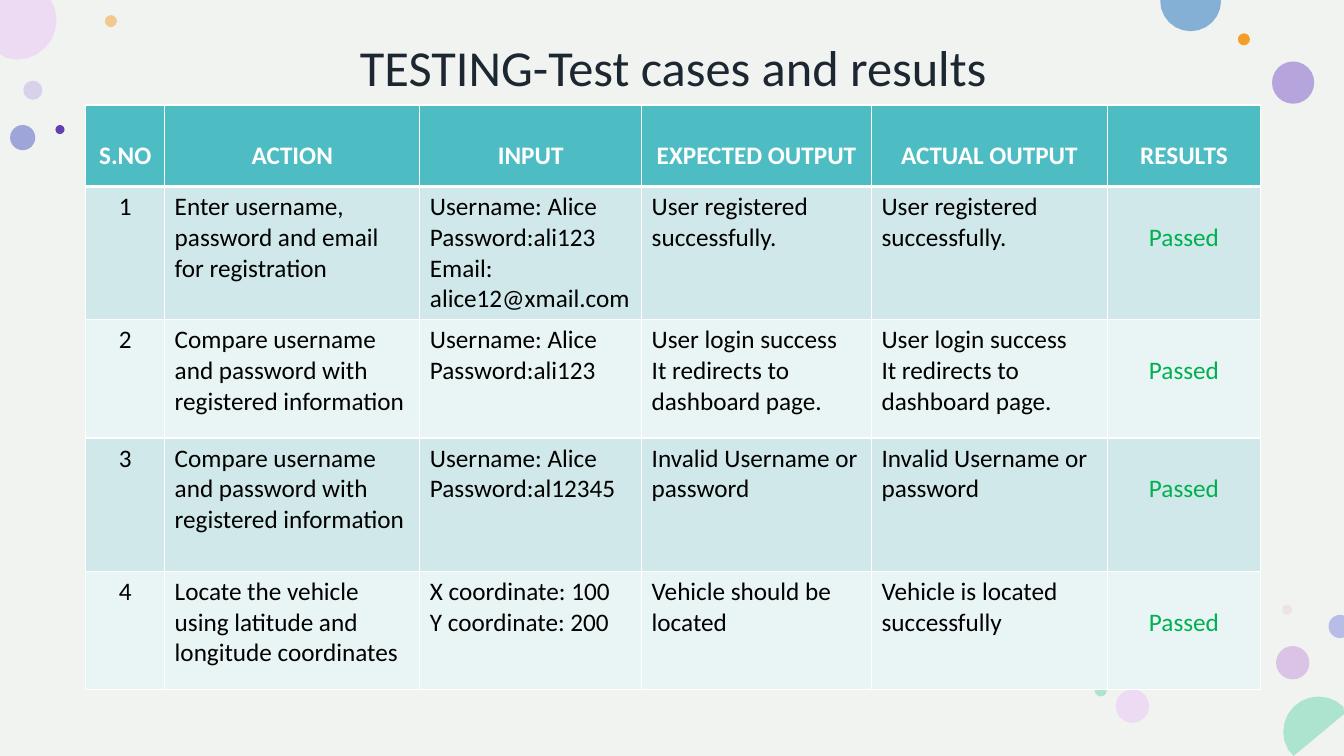
"""Build the slide of test cases and results for the vehicle tracking app."""
from dataclasses import dataclass
from math import cos, radians, sin

from lxml import etree
from pptx import Presentation
from pptx.dml.color import RGBColor
from pptx.enum import shapes, text
from pptx.oxml import ns
from pptx.util import Pt

WIDTH, HEIGHT = 960, 540
FONT = "Calibri"
BODY_SIZE = 18
LINE_HEIGHT = 22
CELL_MARGIN = 3.6
RIM_STEP = 15
COLORS = {
    "backdrop": "F1F3F0", "title": "1C2732", "white": "FFFFFF", "black": "000000",
    "header": "4DBDC3", "odd": "D0E8E9", "even": "E9F4F5", "passed": "00B050",
    "lavender": "BFB0E3", "orange": "F39E29", "orchid": "C794DB", "indigo": "4D5AC3",
    "violet": "9F88D5", "rose": "E3BEBE", "lilac": "ECDBF3", "mint": "ADE4D0",
    "sky": "84B0D6", "purple": "623FB3", "periwinkle": "B8BDE7",
}


@dataclass
class Bubble:
    """A decorative circle; any part beyond the slide edge is cut off."""
    left: float
    top: float
    diameter: float
    color: str
    opacity: int = 100


@dataclass
class Column:
    """A table column with its heading."""
    heading: str
    width: float
    centred: bool = False


@dataclass
class TestCase:
    """One tested action with its input and outputs."""
    action: str
    inputs: list[str]
    expected: list[str]
    actual: list[str]
    height: float
    result: str = "Passed"


BUBBLES = [
    Bubble(16.6, 57.6, 13.7, "lavender", 50),
    Bubble(74.9, 10.8, 8.6, "orange", 50),
    Bubble(911.5, 461.5, 23.8, "orchid", 50),
    Bubble(7.2, 89.3, 18, "indigo", 50),
    Bubble(908.6, 43.9, 30.2, "violet", 72),
    Bubble(884.2, 23.8, 8.6, "orange"),
    Bubble(915.8, 432, 7.2, "rose", 28),
    Bubble(797, 492.5, 23.8, "lilac"),
    Bubble(781.9, 488.9, 8.6, "mint"),
    Bubble(916.6, 497.5, 50.4, "mint"),
    Bubble(-15.8, -13.7, 56.2, "lilac"),
    Bubble(828.7, -21.2, 43.5, "sky"),
    Bubble(39.6, 89.3, 6.5, "purple"),
    Bubble(949, 439.2, 16.6, "periwinkle"),
]
COLUMNS = [
    Column("S.NO", 56.3, True), Column("ACTION", 182.3), Column("INPUT", 158.4),
    Column("EXPECTED OUTPUT", 164.2), Column("ACTUAL OUTPUT", 168.5),
    Column("RESULTS", 109.5, True),
]
HEADER_HEIGHT = 58.3
COMPARE = "Compare username and password with registered information"
REGISTERED = ["User registered successfully."]
LOGGED_IN = ["User login success", "It redirects to dashboard page."]
REJECTED = ["Invalid Username or password"]
TEST_CASES = [
    TestCase("Enter username, password and email for registration",
             ["Username: Alice", "Password:ali123", "Email: alice12@xmail.com"],
             REGISTERED, REGISTERED, 95.2),
    TestCase(COMPARE, ["Username: Alice", "Password:ali123"], LOGGED_IN, LOGGED_IN, 84.4),
    TestCase(COMPARE, ["Username: Alice", "Password:al12345"], REJECTED, REJECTED, 95.2),
    TestCase("Locate the vehicle using latitude and longitude coordinates",
             ["X coordinate: 100", "Y coordinate: 200"],
             ["Vehicle should be located"], ["Vehicle is located successfully"], 84.4),
]


def rgb(name: str) -> RGBColor:
    """Return the named colour."""
    return RGBColor.from_string(COLORS[name])


def paint_shape(shape, color: str) -> None:
    """Give a shape a plain fill without line or shadow."""
    shape.shadow.inherit = False
    shape.line.fill.background()
    shape.fill.solid()
    shape.fill.fore_color.rgb = rgb(color)


def add_run(paragraph, words: str, size: float, color: str, bold: bool = False) -> None:
    """Add one formatted run."""
    run = paragraph.add_run()
    run.text = words
    run.font.name, run.font.size, run.font.bold = FONT, Pt(size), bold
    run.font.color.rgb = rgb(color)


def trimmed_rim(bubble: Bubble) -> list[tuple[int, int]]:
    """Return the corner points of a circle trimmed to the slide."""
    radius = bubble.diameter / 2
    rim = [(bubble.left + radius + radius * cos(radians(angle)),
            bubble.top + radius + radius * sin(radians(angle)))
           for angle in range(0, 360, RIM_STEP)]
    trimmed = [(min(max(x, 0), WIDTH), min(max(y, 0), HEIGHT)) for x, y in rim]
    inside = [point == kept for point, kept in zip(rim, trimmed)]
    corners = [(x, y) for x in (0, WIDTH) for y in (0, HEIGHT)]
    outline = [kept for i, kept in enumerate(trimmed)
               if inside[i] or inside[i - 1] or inside[(i + 1) % len(rim)] or kept in corners]
    return [(Pt(x), Pt(y)) for x, y in dict.fromkeys(outline)]


def add_bubble(slide, bubble: Bubble) -> None:
    """Draw a circle, trimmed to the slide where it crosses an edge."""
    left, top, size = bubble.left, bubble.top, bubble.diameter
    if left >= 0 and top >= 0 and left + size <= WIDTH and top + size <= HEIGHT:
        circle = slide.shapes.add_shape(
            shapes.MSO_SHAPE.OVAL, Pt(left), Pt(top), Pt(size), Pt(size))
    else:
        start, *rest = trimmed_rim(bubble)
        builder = slide.shapes.build_freeform(*start)
        builder.add_line_segments(rest)
        circle = builder.convert_to_shape()
    paint_shape(circle, bubble.color)
    if bubble.opacity < 100:
        tint = circle.fill._xPr.find(".//" + ns.qn("a:srgbClr"))
        etree.SubElement(tint, ns.qn("a:alpha"), val=str(bubble.opacity * 1000))


def set_borders(cell, top: float, bottom: float) -> None:
    """Give a cell white borders."""
    properties = cell._tc.get_or_add_tcPr()
    for side, width in {"L": 1, "R": 1, "T": top, "B": bottom}.items():
        edge = etree.SubElement(properties, ns.qn(f"a:ln{side}"), w=str(Pt(width)))
        paint = etree.SubElement(edge, ns.qn("a:solidFill"))
        etree.SubElement(paint, ns.qn("a:srgbClr"), val=COLORS["white"])


def fill_cell(cell, lines: list[str], fill: str, color: str, centred: bool,
              bold: bool = False, lowered: bool = False) -> None:
    """Colour a cell and write its lines, optionally one line lower."""
    cell.fill.solid()
    cell.fill.fore_color.rgb = rgb(fill)
    cell.margin_top = Pt(CELL_MARGIN + LINE_HEIGHT * lowered)
    for number, line in enumerate(lines):
        frame = cell.text_frame
        paragraph = frame.add_paragraph() if number else frame.paragraphs[0]
        paragraph.alignment = text.PP_ALIGN.CENTER if centred else text.PP_ALIGN.LEFT
        add_run(paragraph, line, BODY_SIZE, color, bold)


def add_results(slide) -> None:
    """Add the table of test cases."""
    heights = [HEADER_HEIGHT] + [case.height for case in TEST_CASES]
    widths = [column.width for column in COLUMNS]
    results = slide.shapes.add_table(
        len(heights), len(widths), Pt(61.3), Pt(75), Pt(sum(widths)), Pt(sum(heights))).table
    for row, height in zip(results.rows, heights):
        row.height = Pt(height)
    for index, column in enumerate(COLUMNS):
        results.columns[index].width = Pt(column.width)
        heading = results.cell(0, index)
        set_borders(heading, 1, 3)
        fill_cell(heading, [column.heading], "header", "white", True, True, True)
    for number, case in enumerate(TEST_CASES, 1):
        entries = [[str(number)], [case.action], case.inputs,
                   case.expected, case.actual, [case.result]]
        for index, (column, lines) in enumerate(zip(COLUMNS, entries)):
            entry = results.cell(number, index)
            verdict = column.heading == "RESULTS"
            set_borders(entry, 3 if number == 1 else 1, 1)
            fill_cell(entry, lines, "odd" if number % 2 else "even",
                      "passed" if verdict else "black", column.centred, lowered=verdict)


def add_title(slide, words: str) -> None:
    """Place and format the title in front of the backdrop."""
    title = slide.shapes.title
    slide.shapes._spTree.append(title._element)
    title.left, title.top, title.width, title.height = Pt(61.2), Pt(20), Pt(839.5), Pt(60)
    title.text_frame.vertical_anchor = text.MSO_ANCHOR.MIDDLE
    heading = title.text_frame.paragraphs[0]
    heading.alignment = text.PP_ALIGN.CENTER
    heading.line_spacing = 0.9
    add_run(heading, words, 36, "title")


def main() -> None:
    """Build and save the presentation."""
    deck = Presentation()
    deck.slide_width, deck.slide_height = Pt(WIDTH), Pt(HEIGHT)
    slide = deck.slides.add_slide(deck.slide_layouts[5])
    backdrop = slide.shapes.add_shape(
        shapes.MSO_SHAPE.RECTANGLE, 0, 0, Pt(WIDTH), Pt(HEIGHT))
    paint_shape(backdrop, "backdrop")
    for bubble in BUBBLES:
        add_bubble(slide, bubble)
    add_title(slide, "TESTING-Test cases and results")
    add_results(slide)
    deck.save("out.pptx")


if __name__ == "__main__":
    main()
